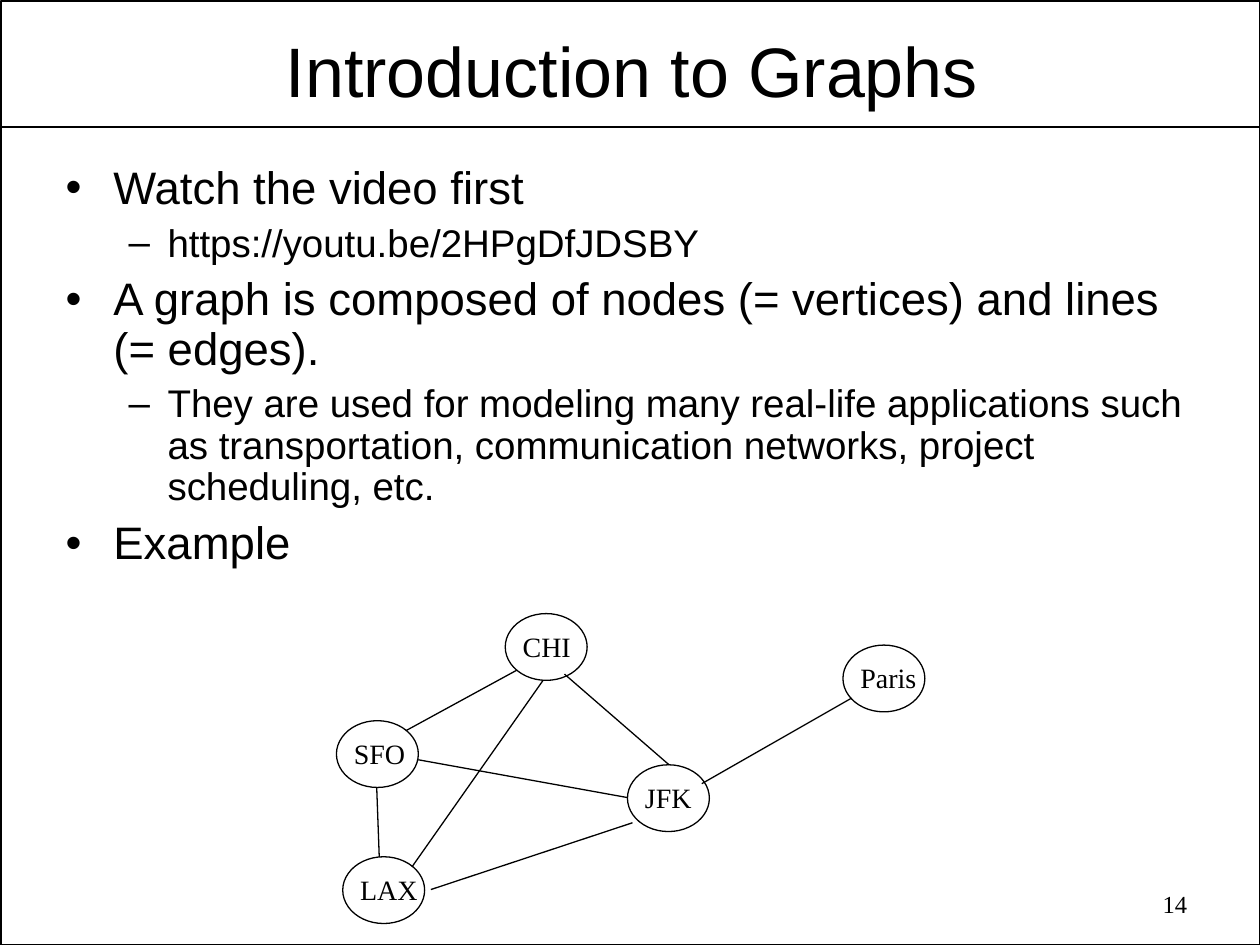
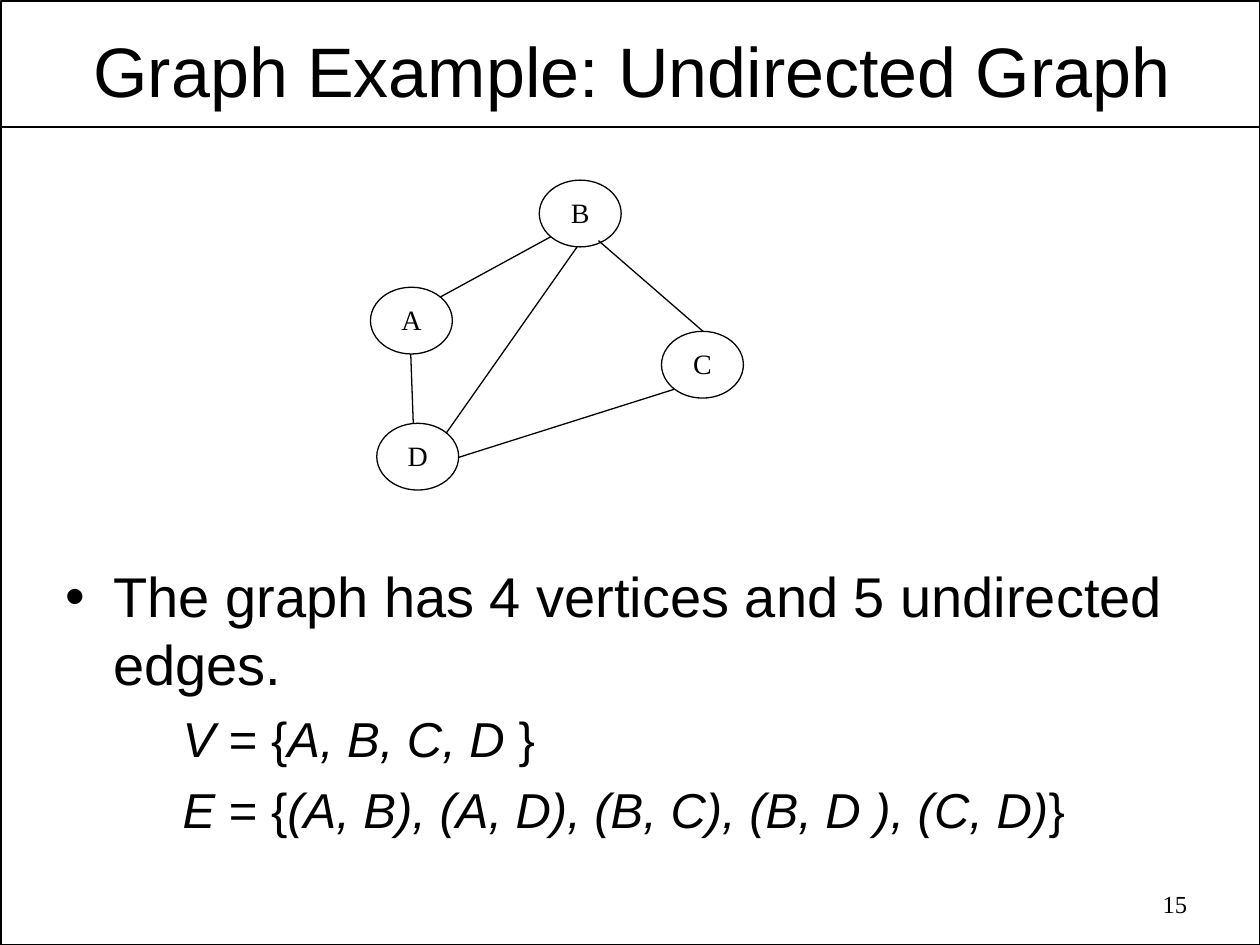
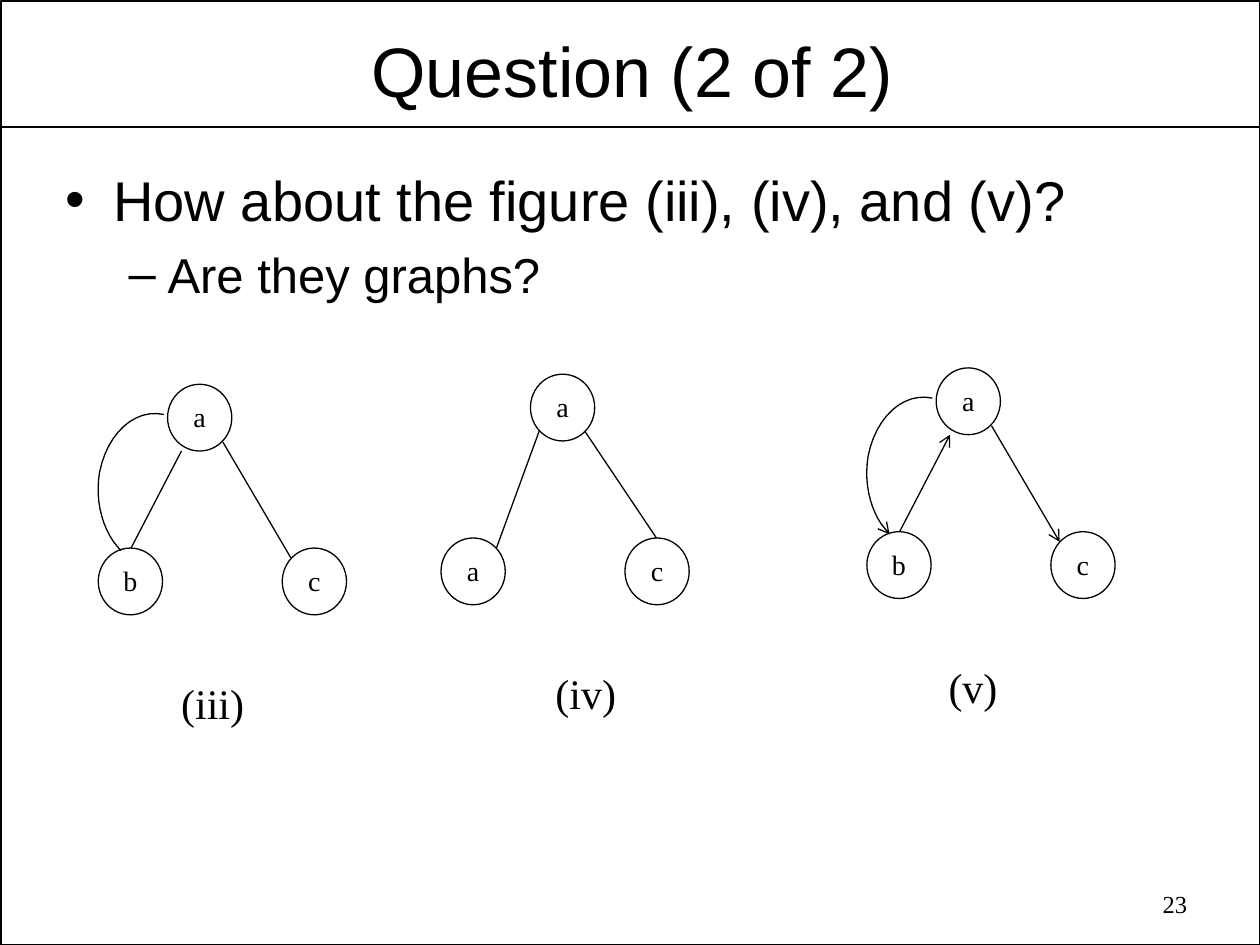
"""Builds three lecture slides that introduce graphs."""
import dataclasses
import typing

import lxml.etree
import pptx
import pptx.dml.color
import pptx.enum.shapes
import pptx.enum.text
import pptx.oxml.ns
import pptx.util

SLIDE_WIDTH = pptx.util.Inches(10)
SLIDE_HEIGHT = pptx.util.Inches(7.5)
COLUMNS = 100
INK = "000000"
HEADING_FONT = "Arial"
LABEL_FONT = "Times New Roman"
ALIGN = pptx.enum.text.PP_ALIGN
ANCHOR = pptx.enum.text.MSO_ANCHOR
SHAPES = pptx.enum.shapes.MSO_SHAPE
NODE_HEIGHT = 5.3
CURVE_STEPS = 12

Point = tuple[float, float]
Box = tuple[float, float, float, float]


@dataclasses.dataclass(frozen=True)
class Bullet:
    text: str
    size: float
    level: int = 0
    symbol: str = ""
    margin: float = 3.8
    hanging: float = 3.8
    before: float = 0
    spacing: float = 1


@dataclasses.dataclass(frozen=True)
class Node:
    text: str
    left: float
    top: float


@dataclasses.dataclass(frozen=True)
class Edge:
    start: Point
    end: Point


@dataclasses.dataclass(frozen=True)
class NodeStyle:
    width: float
    label_offset: float
    label_width: float
    label_inset: float = 0
    align: typing.Any = ALIGN.CENTER


@dataclasses.dataclass(frozen=True)
class Graph:
    origin: Point
    style: NodeStyle
    nodes: tuple[Node, ...]
    edges: tuple[Edge, ...]
    loop: bool = False
    directed: bool = False
    caption: str = ""
    caption_left: float = 0


CITY_STYLE = NodeStyle(6.5, 0.4, 6.5, 1, ALIGN.LEFT)
LETTER_STYLE = NodeStyle(6.5, 0.9, 4.7)
FIGURE_STYLE = NodeStyle(5.1, 1.05, 3)

DIAMOND = ((0, 8.5), (0.5, 19.3), (13.4, 0), (23.1, 12))
DIAMOND_EDGES = (
    Edge((14.3, 4.5), (5.5, 9.3)),
    Edge((3.2, 13.8), (3.4, 19.3)),
    Edge((26.4, 12), (18.1, 4.8)),
    Edge((16.4, 5.3), (6, 20.1)),
)
TREE = ((5.5, 0), (0, 13), (14.6, 13))
TREE_EDGES = (Edge((2.6, 13), (6.6, 5.3)), Edge((9.9, 4.6), (15.3, 13.8)))
LOOP_CURVES = (
    ((5.2, 2.4), (2.9, 1.9), (0.7, 3.9), (0.1, 7)),
    ((0.1, 7), (-0.3, 9.4), (0.4, 11.8), (1.8, 13.2)),
)


def cells(count: float) -> int:
    """Return the length of a number of grid cells."""
    return round(SLIDE_WIDTH * count / COLUMNS)


def color(value: str) -> pptx.dml.color.RGBColor:
    """Return the colour for a hex string."""
    return pptx.dml.color.RGBColor.from_string(value)


def named(names: typing.Iterable[str], places: tuple[Point, ...]) -> tuple[Node, ...]:
    """Pair node names with their places."""
    return tuple(Node(name, *place) for name, place in zip(names, places))


def write(paragraph: typing.Any, text: str, *, size: float, font: str = HEADING_FONT,
          align: typing.Any = ALIGN.LEFT, before: float = 0, spacing: float = 1) -> None:
    """Fill a paragraph, setting every second part between bars in italics."""
    paragraph.alignment = align
    paragraph.space_before = pptx.util.Pt(before)
    paragraph.line_spacing = spacing
    for index, part in enumerate(text.split("|")):
        if part:
            run = paragraph.add_run()
            run.text = part
            run.font.size = pptx.util.Pt(size)
            run.font.name = font
            run.font.italic = index % 2 == 1
            run.font.color.rgb = color(INK)


def place(shape: typing.Any, box: Box) -> None:
    """Move and size a shape on the grid."""
    shape.left, shape.top, shape.width, shape.height = map(cells, box)


def prepare_frame(frame: typing.Any, insets: Box, anchor: typing.Any = ANCHOR.TOP) -> None:
    """Set wrapping, insets and anchor of a text frame."""
    frame.word_wrap = True
    frame.auto_size = pptx.enum.text.MSO_AUTO_SIZE.NONE
    frame.vertical_anchor = anchor
    frame.margin_left, frame.margin_top, frame.margin_right, frame.margin_bottom = map(cells, insets)


def add_label(slide: typing.Any, text: str, box: Box, size: float,
              align: typing.Any = ALIGN.LEFT, insets: Box = (1, 0.5, 1, 0.5)) -> None:
    """Add a text box in the label font."""
    frame = slide.shapes.add_textbox(*map(cells, box)).text_frame
    prepare_frame(frame, insets)
    write(frame.paragraphs[0], text, size=size, font=LABEL_FONT, align=align)


def set_line(shape: typing.Any, width: float, arrow: bool = False) -> None:
    """Give a shape or connector a plain line, with an optional arrowhead."""
    shape.line.color.rgb = color(INK)
    shape.line.width = pptx.util.Pt(width)
    if arrow:
        line = shape._element.spPr.find(pptx.oxml.ns.qn("a:ln"))
        lxml.etree.SubElement(line, pptx.oxml.ns.qn("a:tailEnd"), type="arrow")


def outline(shape: typing.Any, width: float, arrow: bool = False) -> None:
    """Leave only the outline of a shape."""
    shape.shadow.inherit = False
    shape.fill.background()
    set_line(shape, width, arrow)


def add_line(slide: typing.Any, start: Point, end: Point,
             width: float = 0.75, arrow: bool = False) -> None:
    """Draw a straight connector."""
    connector = slide.shapes.add_connector(
        pptx.enum.shapes.MSO_CONNECTOR.STRAIGHT, *map(cells, (*start, *end)))
    set_line(connector, width, arrow)
    lxml.etree.SubElement(connector._element.spPr, pptx.oxml.ns.qn("a:effectLst"))


def bezier(points: tuple[Point, ...], share: float) -> Point:
    """Return the point at a share of a cubic curve."""
    rest = 1 - share
    weights = (rest ** 3, 3 * rest ** 2 * share, 3 * rest * share ** 2, share ** 3)
    x, y = (sum(w * value for w, value in zip(weights, axis)) for axis in zip(*points))
    return x, y


def add_loop(slide: typing.Any, graph: Graph) -> None:
    """Draw the curved edge on the left of a figure."""
    def locate(point: Point) -> Point:
        return cells(graph.origin[0] + point[0]), cells(graph.origin[1] + point[1])

    points = [locate(bezier(curve, step / CURVE_STEPS))
              for curve in LOOP_CURVES for step in range(1, CURVE_STEPS + 1)]
    builder = slide.shapes.build_freeform(*locate(LOOP_CURVES[0][0]))
    builder.add_line_segments(points, close=False)
    outline(builder.convert_to_shape(), 0.75, graph.directed)


def add_graph(slide: typing.Any, graph: Graph) -> None:
    """Draw nodes, edges and caption of a graph."""
    left, top = graph.origin
    style = graph.style
    for node in graph.nodes:
        x, y = left + node.left, top + node.top
        add_label(slide, node.text, (x + style.label_offset, y + 0.75, style.label_width, 3.7),
                  16, style.align, (style.label_inset, 0.5, 0, 0.5))
        ellipse = slide.shapes.add_shape(
            SHAPES.OVAL, *map(cells, (x, y, style.width, NODE_HEIGHT)))
        outline(ellipse, 0.75)
    for edge in graph.edges:
        start, end = ((left + x, top + y) for x, y in (edge.start, edge.end))
        add_line(slide, start, end, arrow=graph.directed)
    if graph.loop:
        add_loop(slide, graph)
    if graph.caption:
        add_label(slide, graph.caption, (left + graph.caption_left, top + 22.8, 8, 5), 24)


def add_bullets(body: typing.Any, bullets: tuple[Bullet, ...]) -> None:
    """Write a list into the body placeholder."""
    frame = body.text_frame
    prepare_frame(frame, (1, 0.5, 1, 0.5))
    for index, bullet in enumerate(bullets):
        paragraph = frame.add_paragraph() if index else frame.paragraphs[0]
        paragraph.level = bullet.level
        write(paragraph, bullet.text, size=bullet.size,
              before=bullet.before if index else 0, spacing=bullet.spacing)
        properties = paragraph._p.get_or_add_pPr()
        properties.set("marL", str(cells(bullet.margin)))
        properties.set("indent", str(-cells(bullet.hanging)))
        if bullet.symbol:
            lxml.etree.SubElement(properties, pptx.oxml.ns.qn("a:buChar"), char=bullet.symbol)
        else:
            lxml.etree.SubElement(properties, pptx.oxml.ns.qn("a:buNone"))


def add_slide(presentation: typing.Any, title: str, number: int, body_box: Box,
              bullets: tuple[Bullet, ...], graphs: tuple[Graph, ...]) -> None:
    """Add a slide with frame, title, list, graphs and number."""
    slide = presentation.slides.add_slide(presentation.slide_layouts[1])
    frame = slide.shapes.add_shape(SHAPES.RECTANGLE, *map(cells, (0.1, 0.1, 99.9, 74.9)))
    outline(frame, 1)
    add_line(slide, (0.1, 10.1), (99.9, 10.1), 1)
    heading = slide.shapes.title
    place(heading, (5.3, 1.9, 89.7, 7.2))
    prepare_frame(heading.text_frame, (0.7, 0.3, 0.7, 0.3), ANCHOR.MIDDLE)
    write(heading.text_frame.paragraphs[0], title, size=40, align=ALIGN.CENTER)
    body = slide.placeholders[1]
    place(body, body_box)
    add_bullets(body, bullets)
    add_label(slide, str(number), (71.8, 70.1, 23.4, 3.6), 14, ALIGN.RIGHT)
    for graph in graphs:
        add_graph(slide, graph)


def point(text: str, size: float = 32, spacing: float = 1) -> Bullet:
    """Return a first-level list item."""
    return Bullet(text, size, symbol="•", before=size / 4, spacing=spacing)


def subpoint(text: str, size: float = 28, spacing: float = 1) -> Bullet:
    """Return a second-level list item."""
    return Bullet(text, size, 1, "–", 8.1, 3.1, size / 4, spacing)


def formula(text: str) -> Bullet:
    """Return an indented line without a bullet."""
    return Bullet(text, 28, 1, margin=9.3, hanging=0, before=7)


def main() -> None:
    """Build and save the presentation."""
    presentation = pptx.Presentation()
    presentation.slide_width = SLIDE_WIDTH
    presentation.slide_height = SLIDE_HEIGHT

    cities = named(("SFO", "LAX", "CHI", "JFK", "Paris"), (*DIAMOND, (40.2, 2.5)))
    routes = DIAMOND_EDGES + (
        Edge((23.1, 14.6), (6.5, 11.6)),
        Edge((23.5, 16.6), (7.5, 21.9)),
        Edge((40.9, 6.7), (29, 13.5)),
    )
    add_slide(presentation, "Introduction to Graphs", 14, (4.2, 12.6, 91.7, 35.1), (
        point("Watch the video first", 26, 0.9),
        subpoint("https://youtu.be/2HPgDfJDSBY", 22, 0.9),
        point("A graph is composed of nodes (= vertices) and lines (= edges).", 26, 0.9),
        subpoint("They are used for modeling many real-life applications such as "
                 "transportation, communication networks, project scheduling, etc.", 22, 0.9),
        point("Example", 26, 0.9),
    ), (Graph((26.7, 48.7), CITY_STYLE, cities, routes),))

    letter_edges = DIAMOND_EDGES + (Edge((24.1, 16.6), (7, 22)),)
    add_slide(presentation, "Graph Example: Undirected Graph", 15, (4.2, 44.1, 91.7, 24.2), (
        point("The graph has 4 vertices and 5 undirected edges."),
        formula("|V |= {|A, B, C, D |}"),
        formula("|E |= {|(A, B), (A, D), (B, C), (B, D ), (C, D)|}"),
    ), (Graph((29.4, 14.3), LETTER_STYLE, named("ADBC", DIAMOND), letter_edges),))

    wide_tree = ((7.1, 0), *TREE[1:])
    wide_edges = (Edge((11.4, 4.5), (17.1, 13)), Edge((7.8, 4.5), (4.4, 13.8)))
    add_slide(presentation, "Question (2 of 2)", 23, (4.2, 12.6, 91.7, 13.9), (
        point("How about the figure (iii), (iv), and (v)?"),
        subpoint("Are they graphs?"),
    ), (
        Graph((7.8, 30.5), FIGURE_STYLE, named("abc", TREE), TREE_EDGES, loop=True,
              caption="(iii)", caption_left=5.6),
        Graph((35, 29.7), FIGURE_STYLE, named("aac", wide_tree), wide_edges,
              caption="(iv)", caption_left=8.1),
        Graph((68.8, 29.2), FIGURE_STYLE, named("abc", TREE), TREE_EDGES, loop=True,
              directed=True, caption="(v)", caption_left=5.5),
    ))
    presentation.save("out.pptx")


if __name__ == "__main__":
    main()
